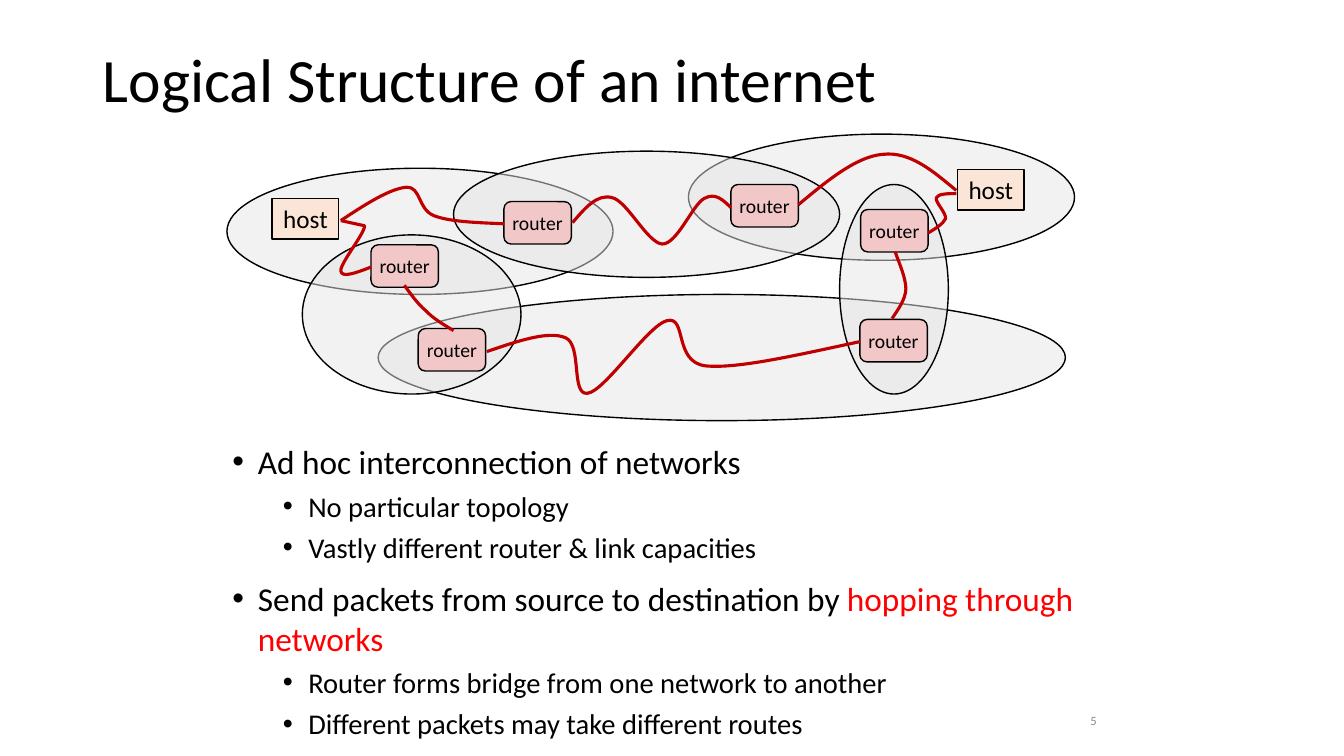
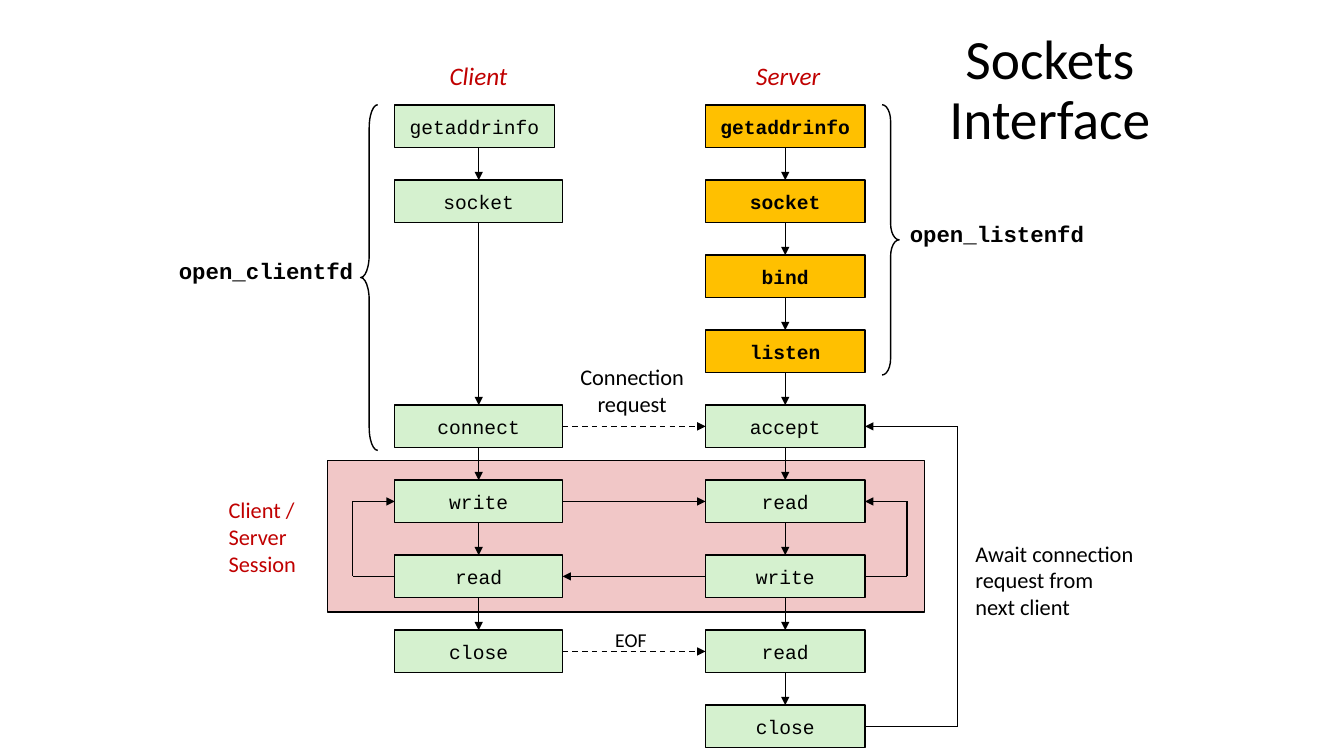
from dataclasses import dataclass

from lxml.etree import SubElement
from pptx import Presentation
from pptx.dml.color import RGBColor
from pptx.enum.dml import MSO_LINE
from pptx.enum.shapes import MSO_CONNECTOR, MSO_SHAPE
from pptx.enum.text import MSO_ANCHOR, PP_ALIGN
from pptx.oxml.ns import qn
from pptx.util import Cm, Pt

TOP, LEFT, BOTTOM, RIGHT = range(4)


@dataclass(frozen=True)
class Theme:
    # Colours
    ink: str = "000000"
    accent: str = "C00000"
    highlight: str = "FF0000"
    muted: str = "8C8C8C"
    network: str = "E6E6E6"
    rose: str = "F1C7C7"
    peach: str = "FBE5D6"
    green: str = "D5F1CF"
    gold: str = "FFC000"
    # Fonts and type sizes
    body_font: str = "Calibri"
    code_font: str = "Courier New"
    title: float = 44
    side_title: float = 39.6
    bullet: float = 23.8
    sub_bullet: float = 20.4
    heading: float = 18
    label: float = 16
    small: float = 14
    footer: float = 9
    # Line widths
    thin: float = 1
    thick: float = 2.25


def apply(target, values):
    for name, value in values.items():
        setattr(target, name, value)


def anchor_point(end):
    """Turn a (box, side) pair or a plain point into a position."""
    box, side = end
    if not hasattr(box, "shape_type"):
        return end
    middle_x, middle_y = box.left + box.width // 2, box.top + box.height // 2
    return {
        TOP: (middle_x, box.top),
        LEFT: (box.left, middle_y),
        BOTTOM: (middle_x, box.top + box.height),
        RIGHT: (box.left + box.width, middle_y),
    }[side]


class Builder:
    def __init__(self, theme):
        self.theme = theme
        self.deck = Presentation()
        apply(self.deck, {"slide_width": Cm(33.87), "slide_height": Cm(19.05)})
        self.page = None

    def new_page(self):
        self.page = self.deck.slides.add_slide(self.deck.slide_layouts[6])

    # Text
    def span(self, para, text, size, color=None, font=None, **style):
        span = para.add_run()
        span.text = text
        apply(span.font, {"name": font or self.theme.body_font, "size": Pt(size), **style})
        span.font.color.rgb = RGBColor.from_string(color or self.theme.ink)

    def fill_text(self, box, text, size, align=PP_ALIGN.CENTER, wrap=False, spacing=None,
                  **style):
        frame = box.text_frame
        apply(frame, {"word_wrap": wrap, "vertical_anchor": MSO_ANCHOR.MIDDLE})
        for index, line in enumerate(text.split("\n")):
            para = frame.add_paragraph() if index else frame.paragraphs[0]
            apply(para, {"alignment": align, "line_spacing": spacing})
            self.span(para, line, size, **style)

    def label(self, area, text, size, **style):
        box = self.page.shapes.add_textbox(*map(Cm, area))
        self.fill_text(box, text, size, **style)

    def title(self, area, text, size, align):
        self.label(area, text, size, align=align, wrap=True, spacing=0.9)

    def page_number(self, text):
        self.label((22.17, 17.65, 5.72, 1.02), text, self.theme.footer,
                   align=PP_ALIGN.RIGHT, color=self.theme.muted)

    def bullets(self, area, items):
        frame = self.page.shapes.add_textbox(*map(Cm, area)).text_frame
        frame.word_wrap = True
        sizes = (self.theme.bullet, self.theme.sub_bullet)
        for index, (level, *parts) in enumerate(items):
            para = frame.add_paragraph() if index else frame.paragraphs[0]
            properties = para._p.get_or_add_pPr()
            properties.set("marL", str(Cm((0.64, 1.91)[level])))
            properties.set("indent", str(-Cm(0.64)))
            SubElement(properties, qn("a:buFont")).set("typeface", "Arial")
            SubElement(properties, qn("a:buChar")).set("char", "•")
            before = (10, 5)[level] if index else 0
            apply(para, {"level": level, "space_before": Pt(before)})
            for text, color in zip(parts, (None, self.theme.highlight)):
                self.span(para, text, sizes[level], color)

    # Shapes
    def finish(self, shape, fill=None, color=None, width=None):
        shape.shadow.inherit = False
        if fill:
            shape.fill.solid()
            shape.fill.fore_color.rgb = RGBColor.from_string(fill)
        else:
            shape.fill.background()
        shape.line.color.rgb = RGBColor.from_string(color or self.theme.ink)
        shape.line.width = Pt(width or self.theme.thin)

    def shape(self, kind, area, fill=None, alpha=None, adjust=()):
        shape = self.page.shapes.add_shape(kind, *map(Cm, area))
        self.finish(shape, fill)
        for index, value in enumerate(adjust):
            shape.adjustments[index] = value
        if alpha:
            color = shape._element.spPr.find(".//" + qn("a:srgbClr"))
            SubElement(color, qn("a:alpha")).set("val", str(alpha * 1000))
        return shape

    def code_box(self, area, text, fill):
        box = self.shape(MSO_SHAPE.RECTANGLE, area, fill)
        self.fill_text(box, text, self.theme.small, font=self.theme.code_font,
                       bold=fill == self.theme.gold)
        return box

    def curve(self, points):
        """Draw a start point followed by triples of Bézier points."""
        start, *rest = [(Cm(x), Cm(y)) for x, y in points]
        builder = self.page.shapes.build_freeform(*start)
        builder.add_line_segments(rest, close=False)
        shape = builder.convert_to_shape()
        self.finish(shape, color=self.theme.accent, width=self.theme.thick)
        outline = shape._element.spPr.find(".//" + qn("a:path"))
        segments = outline.findall(qn("a:lnTo"))
        for first in range(0, len(segments), 3):
            bezier = SubElement(outline, qn("a:cubicBezTo"))
            for segment in segments[first:first + 3]:
                bezier.append(segment[0])
        del outline[1:1 + len(segments)]

    # Connectors
    def connect(self, begin, end, arrow=True, dashed=False):
        line = self.page.shapes.add_connector(
            MSO_CONNECTOR.STRAIGHT, *anchor_point(begin), *anchor_point(end))
        line.line.color.rgb = RGBColor.from_string(self.theme.ink)
        line.line.width = Pt(self.theme.thin)
        if dashed:
            line.line.dash_style = MSO_LINE.DASH
        if arrow:
            SubElement(line.line._get_or_add_ln(), qn("a:tailEnd")).set("type", "triangle")
        SubElement(line._element.spPr, qn("a:effectLst"))
        for join, (box, side) in ((line.begin_connect, begin), (line.end_connect, end)):
            if hasattr(box, "shape_type"):
                join(box, side)

    def loop_back(self, source, target, side, x):
        corners = [(Cm(x), anchor_point((box, side))[1]) for box in (source, target)]
        self.connect((source, side), corners[0], arrow=False)
        self.connect(*corners, arrow=False)
        self.connect(corners[1], (target, side))


def internet_page(build):
    theme = build.theme
    build.new_page()
    build.title((2.34, 0.23, 29.21, 3.68), "Logical Structure of an internet",
                theme.title, PP_ALIGN.LEFT)
    build.bullets((5.61, 11, 22.45, 7.75), [
        (0, "Ad hoc interconnection of networks"),
        (1, "No particular topology"),
        (1, "Vastly different router & link capacities"),
        (0, "Send packets from source to destination by ", "hopping through networks"),
        (1, "Router forms bridge from one network to another"),
        (1, "Different packets may take different routes"),
    ])

    # Overlapping networks
    wide = (9.73, 3.18)
    for area in (
        (5.72, 4.24, *wide), (9.53, 7.42, 17.32, 3.18), (17.35, 3.38, *wide),
        (11.43, 3.81, *wide), (7.62, 5.92, 5.51, 4.01), (21.16, 4.65, 2.74, 5.28),
    ):
        build.shape(MSO_SHAPE.OVAL, area, theme.network, alpha=50)

    # Routers and hosts
    for corner in ((9.35, 6.17), (10.54, 8.28), (12.7, 5.08),
                   (18.42, 4.65), (21.67, 8.05), (21.69, 5.28)):
        router = build.shape(MSO_SHAPE.ROUNDED_RECTANGLE, (*corner, 1.7, 1.07),
                             theme.rose, adjust=(0.17,))
        build.fill_text(router, "router", theme.small)
    for corner in ((24.13, 4.27), (6.86, 5)):
        host = build.shape(MSO_SHAPE.RECTANGLE, (*corner, 1.68, 1.02), theme.peach)
        build.fill_text(host, "host", theme.heading)

    # Links between them
    for points in (
        [(8.59, 5.56), (8.59, 5.56), (9.19, 5.69), (9.19, 5.69), (9.19, 5.89),
         (8.56, 6.65), (8.59, 6.83), (8.61, 7.01), (8.97, 6.88), (9.35, 6.73)],
        [(8.59, 5.56), (9.19, 5.16), (9.83, 4.75), (10.24, 4.72), (10.62, 4.7),
         (10.52, 5.28), (10.95, 5.44), (11.35, 5.59), (12.01, 5.61), (12.7, 5.64)],
        [(10.19, 7.19), (10.36, 7.42), (10.52, 7.65), (10.72, 7.82), (10.92, 8.03),
         (11.18, 8.18), (11.43, 8.33)],
        [(14.43, 5.61), (14.73, 5.26), (15.04, 4.88), (15.42, 4.98), (15.8, 5.05),
         (16.31, 6.12), (16.69, 6.15), (17.07, 6.15), (17.45, 5.16), (17.75, 5),
         (18.03, 4.85), (18.21, 5.03), (18.42, 5.23)],
        [(20.12, 5.16), (20.85, 4.55), (21.59, 3.94), (22.25, 3.89), (22.94, 3.81),
         (23.52, 4.32), (24.1, 4.8)],
        [(12.27, 8.86), (13.06, 8.59), (13.82, 8.33), (14.25, 8.51), (14.68, 8.69),
         (14.38, 9.98), (14.81, 9.91), (15.24, 9.86), (16.33, 8.2), (16.81, 8.08),
         (17.32, 7.95), (16.97, 9.12), (17.78, 9.22), (18.59, 9.3), (20.12, 8.94),
         (21.67, 8.61)],
        [(22.48, 8.03), (22.63, 7.8), (22.81, 7.57), (22.83, 7.29), (22.83, 7.01),
         (22.68, 6.68), (22.56, 6.35)],
        [(23.39, 5.87), (23.57, 5.77), (23.77, 5.64), (23.83, 5.51), (23.85, 5.36),
         (23.55, 5.08), (23.6, 4.98), (23.65, 4.88), (23.88, 4.88), (24.1, 4.88)],
    ):
        build.curve(points)
    build.page_number("5")


def sockets_page(build):
    theme = build.theme
    build.new_page()
    build.title((23.5, 0.64, 5.92, 3.33), "Sockets Interface",
                theme.side_title, PP_ALIGN.CENTER)
    build.shape(MSO_SHAPE.RECTANGLE, (8.26, 11.61, 15.04, 3.81), theme.rose)

    # Call columns on a shared row grid
    client_calls = {0: "getaddrinfo", 1: "socket", 4: "connect",
                    5: "write", 6: "read", 7: "close"}
    server_calls = dict(enumerate(("getaddrinfo", "socket", "bind", "listen", "accept",
                                   "read", "write", "read", "close")))
    columns = []
    for left, width, calls in ((9.95, 4.23, client_calls), (17.78, 4.02, server_calls)):
        column = {}
        for row, call in calls.items():
            is_setup = calls is server_calls and row < 4
            area = (left, 2.65 + 1.89 * row, 4.02 if row == 0 else width, 1.07)
            column[row] = build.code_box(area, call, theme.gold if is_setup else theme.green)
        columns.append(column)
        boxes = list(column.values())
        for upper, lower in zip(boxes, boxes[1:]):
            begin = (upper, BOTTOM)
            if upper.width != lower.width:
                begin = (anchor_point((lower, TOP))[0], upper.top + upper.height)
            build.connect(begin, (lower, TOP))
    client, server = columns

    # Messages between client and server
    for row in (4, 5, 7):
        build.connect((client[row], RIGHT), (server[row], LEFT), dashed=row != 5)
    build.connect((server[6], LEFT), (client[6], RIGHT))
    build.loop_back(client[6], client[5], LEFT, 8.89)
    build.loop_back(server[6], server[5], RIGHT, 22.86)
    build.loop_back(server[8], server[4], RIGHT, 24.13)

    # Braces around the helper functions
    build.shape(MSO_SHAPE.RIGHT_BRACE, (22.23, 2.64, 0.43, 6.81), adjust=(0.96, 0.5))
    build.shape(MSO_SHAPE.LEFT_BRACE, (9.09, 2.64, 0.43, 8.71), adjust=(1.33, 0.5))
    code = {"font": theme.code_font, "bold": True}
    build.label((22.66, 5.41, 4.93, 0.94), "open_listenfd", theme.label, **code)
    build.label((4.24, 6.35, 4.93, 0.94), "open_clientfd", theme.label, **code)

    # Headings and notes
    heading = {"color": theme.accent, "italic": True}
    build.label((11.07, 1.4, 1.98, 1.02), "Client", theme.heading, **heading)
    build.label((18.8, 1.4, 2.13, 1.02), "Server", theme.heading, **heading)
    build.label((14.33, 9.02, 3.2, 1.63), "Connection\nrequest", theme.label)
    build.label((15.24, 15.7, 1.32, 0.86), "EOF", theme.small)
    note = {"align": PP_ALIGN.LEFT, "wrap": True}
    build.label((5.51, 12.37, 2.34, 2.29), "Client / Server\nSession", theme.label,
                color=theme.accent, **note)
    build.label((24.33, 13.46, 4.75, 2.31),
                "Await connection\nrequest from\nnext client", theme.label, **note)


def main():
    build = Builder(Theme())
    internet_page(build)
    sockets_page(build)
    build.deck.save("out.pptx")


if __name__ == "__main__":
    main()
